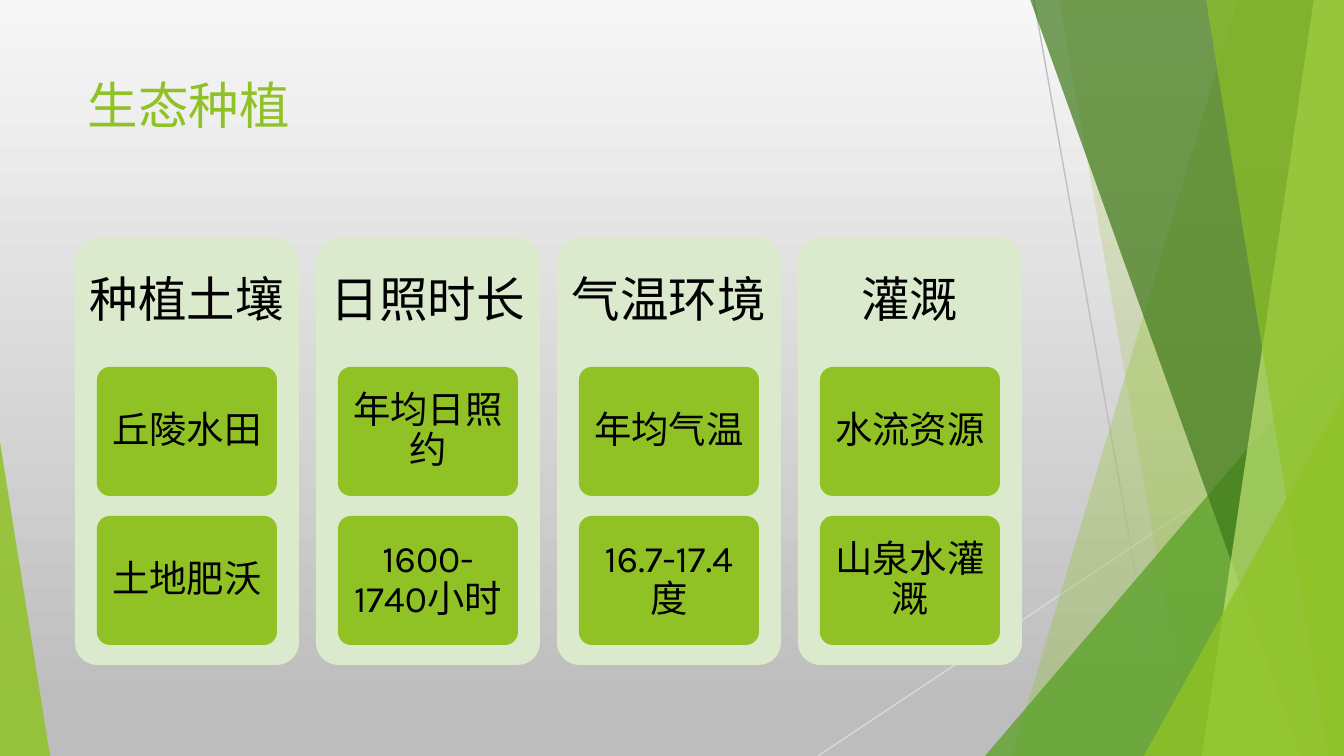
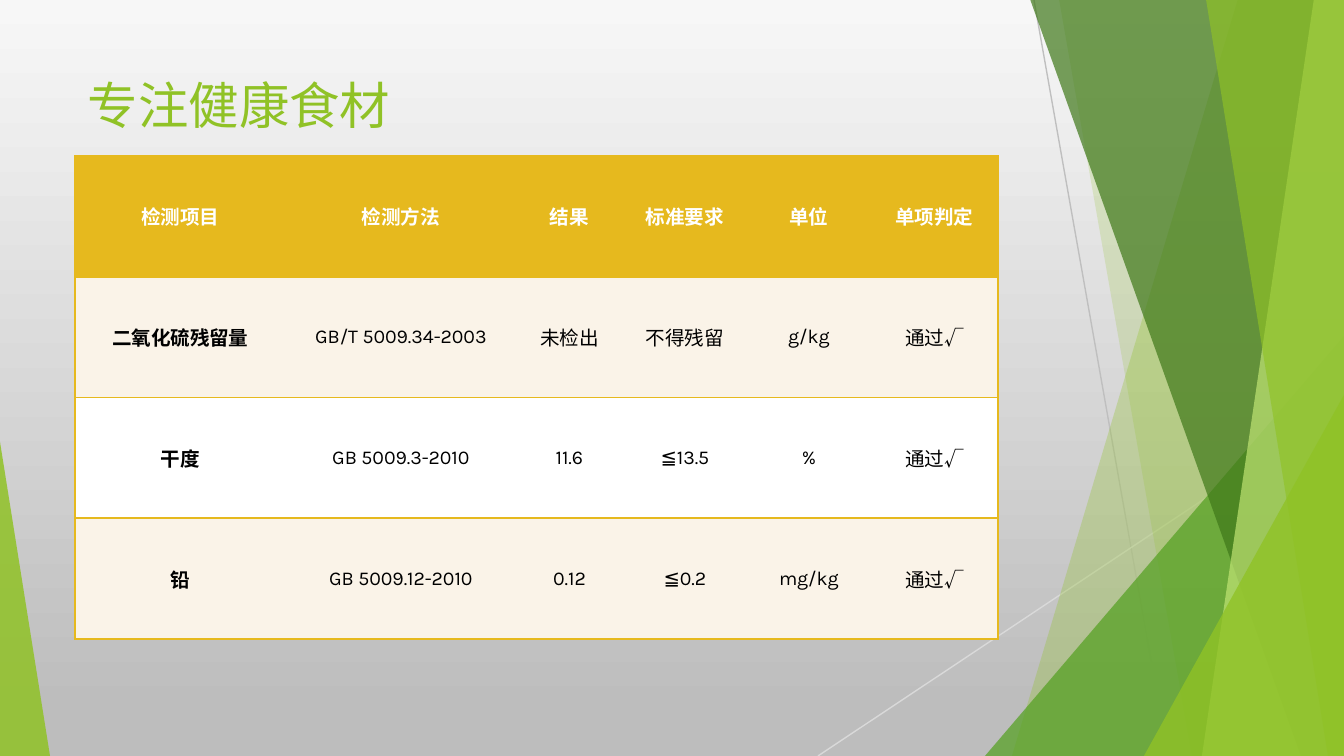
"""Build two slides on ecological planting and healthy food testing."""
from pptx import Presentation
from pptx.dml.color import RGBColor
from pptx.enum.shapes import MSO_CONNECTOR as CONNECTOR, MSO_SHAPE as SHAPE
from pptx.enum.text import MSO_ANCHOR as ANCHOR, PP_ALIGN as ALIGN
from pptx.oxml import parse_xml
from pptx.oxml.ns import nsdecls, qn
from pptx.util import Pt

PX = 914400 / 134.4
WIDTH, HEIGHT = 1344, 756
FONT = "Karla"
COLORS = {
    "sky": "F7F7F7", "ground": "BDBDBD", "line": "BFBFBF", "pale_line": "D9D9D9",
    "lime": "90C226", "leaf": "54A021", "forest": "3F7819", "sprout": "C0E474",
    "card": "DBE9CD", "gold": "E6B91E", "cream": "FAF3E8",
    "white": "FFFFFF", "black": "000000",
}

CONDITIONS_TITLE = "生态种植"
CONDITIONS = [
    ("种植土壤", ["丘陵水田", "土地肥沃"]),
    ("日照时长", ["年均日照约", "1600-1740小时"]),
    ("气温环境", ["年均气温", "16.7-17.4度"]),
    ("灌溉", ["水流资源", "山泉水灌溉"]),
]

TESTS_TITLE = "专注健康食材"
TESTS = [
    ("检测项目", "检测方法", "结果", "标准要求", "单位", "单项判定"),
    ("二氧化硫残留量", "GB/T 5009.34-2003", "未检出", "不得残留", "g/kg", "通过√"),
    ("干度", "GB 5009.3-2010", "11.6", "≦13.5", "%", "通过√"),
    ("铅", "GB 5009.12-2010", "0.12", "≦0.2", "mg/kg", "通过√"),
]
TEST_COLUMNS = [211, 230, 107, 124, 124, 127]
TEST_FILLS = ["gold", "cream", "white", "cream"]

RAYS = [("line", 1034, 0, 1168, 756), ("pale_line", 1344, 406, 818, 756)]
FACETS = [
    ("band", "lime", 30, (1238, 1012)),
    ("band", "lime", 20, (1059, 1192)),
    ("peak", "leaf", 72, (985, 336, 359, 420, 1)),
    ("band", "forest", 70, (1030, 1301)),
    ("band", "sprout", 70, (1314, 1202)),
    ("band", "lime", 65, (1206, 1328)),
    ("peak", "lime", 80, (1144, 395, 200, 361, 1)),
    ("peak", "lime", 85, (0, 442, 50, 314, 0)),
]


def emu(*lengths):
    return [round(length * PX) for length in lengths]


def rgb(color):
    return RGBColor.from_string(COLORS[color])


def paint(shape, color, opacity=100):
    shape.shadow.inherit = False
    shape.fill.solid()
    shape.fill.fore_color.rgb = rgb(color)
    shape.line.fill.background()
    if opacity < 100:
        tint = shape.element.spPr.find(".//" + qn("a:srgbClr"))
        tint.append(parse_xml(f'<a:alpha {nsdecls("a")} val="{opacity * 1000}"/>'))


def add_preset(slide, preset, box, adjustment, color, opacity=100):
    shape = slide.shapes.add_shape(preset, *emu(*box))
    shape.adjustments[0] = adjustment
    paint(shape, color, opacity)
    return shape


def style(paragraph, size, color, align=ALIGN.CENTER, bold=False):
    paragraph.alignment = align
    font = paragraph.font
    font.name, font.size, font.bold = FONT, Pt(size), bold
    font.color.rgb = rgb(color)


def write(shape, text, size, color, insets, anchor=ANCHOR.MIDDLE,
          align=ALIGN.CENTER, spacing=0.9):
    frame = shape.text_frame
    frame.word_wrap = True
    frame.vertical_anchor = anchor
    frame.margin_left = frame.margin_right = emu(insets[0])[0]
    frame.margin_top = frame.margin_bottom = emu(insets[1])[0]
    frame.text = text
    paragraph = frame.paragraphs[0]
    paragraph.line_spacing = spacing
    style(paragraph, size, color, align)


def add_base_slide(deck, title):
    slide = deck.slides.add_slide(deck.slide_layouts[6])
    backdrop = slide.background.fill
    backdrop.gradient()
    backdrop.gradient_angle = 270
    for stop, color, position in zip(backdrop.gradient_stops, ("sky", "ground"), (0, 0.94)):
        stop.color.rgb = rgb(color)
        stop.position = position

    for color, *ends in RAYS:
        ray = slide.shapes.add_connector(CONNECTOR.STRAIGHT, *emu(*ends))
        ray.line.color.rgb = rgb(color)
        ray.line.width = Pt(0.75)
        ray.element.spPr.append(parse_xml(f'<a:effectLst {nsdecls("a")}/>'))

    for kind, color, opacity, place in FACETS:
        if kind == "peak":
            *box, apex = place
            add_preset(slide, SHAPE.ISOSCELES_TRIANGLE, box, apex, color, opacity)
        else:
            top, bottom = place
            outline = slide.shapes.build_freeform(top, -1, scale=PX)
            outline.add_line_segments([(WIDTH, -1), (WIDTH, HEIGHT), (bottom, HEIGHT)])
            paint(outline.convert_to_shape(), color, opacity)

    heading = slide.shapes.add_textbox(*emu(75, 67, 948, 145))
    write(heading, title, 27, "lime", (13, 7), ANCHOR.TOP, ALIGN.LEFT, 1.0)
    return slide


def add_conditions(slide):
    left, top, width, height, step = 75, 238, 224, 427, 241
    for column, (condition, facts) in enumerate(CONDITIONS):
        x = left + column * step
        add_preset(slide, SHAPE.ROUNDED_RECTANGLE, (x, top, width, height), 0.1, "card")
        heading = slide.shapes.add_textbox(*emu(x, top, width, 128))
        write(heading, condition, 26, "black", (14, 14))
        for row, fact in enumerate(facts):
            box = (x + 22, top + 129 + row * 149, 180, 129)
            tile = add_preset(slide, SHAPE.ROUNDED_RECTANGLE, box, 0.1, "lime")
            write(tile, fact, 20, "black", (7, 5))


def add_border(cell, side, visible):
    fill = (f'<a:solidFill><a:srgbClr val="{COLORS["gold"]}"/></a:solidFill>'
            if visible else "<a:noFill/>")
    cell._tc.get_or_add_tcPr().append(
        parse_xml(f'<a:ln{side} {nsdecls("a")} w="12700">{fill}</a:ln{side}>'))


def add_tests(slide):
    height = 483
    last = len(TEST_COLUMNS) - 1
    table = slide.shapes.add_table(
        len(TESTS), len(TEST_COLUMNS), *emu(75, 156, sum(TEST_COLUMNS), height)).table
    table.horz_banding = False
    for column, width in zip(table.columns, emu(*TEST_COLUMNS)):
        column.width = width
    for r, (test, fill) in enumerate(zip(TESTS, TEST_FILLS)):
        table.rows[r].height = emu(height / len(TESTS))[0]
        for c, text in enumerate(test):
            cell = table.cell(r, c)
            for side, visible in (("L", c == 0), ("R", c == last), ("T", True), ("B", True)):
                add_border(cell, side, visible)
            cell.fill.solid()
            cell.fill.fore_color.rgb = rgb(fill)
            cell.vertical_anchor = ANCHOR.MIDDLE
            cell.margin_left = cell.margin_right = emu(9)[0]
            cell.margin_top = cell.margin_bottom = 0
            cell.text = text
            style(cell.text_frame.paragraphs[0], 10.5, "black" if r else "white",
                  bold=r == 0 or c == 0)


def main():
    deck = Presentation()
    deck.slide_width, deck.slide_height = emu(WIDTH, HEIGHT)
    add_conditions(add_base_slide(deck, CONDITIONS_TITLE))
    add_tests(add_base_slide(deck, TESTS_TITLE))
    deck.save("out.pptx")


if __name__ == "__main__":
    main()
